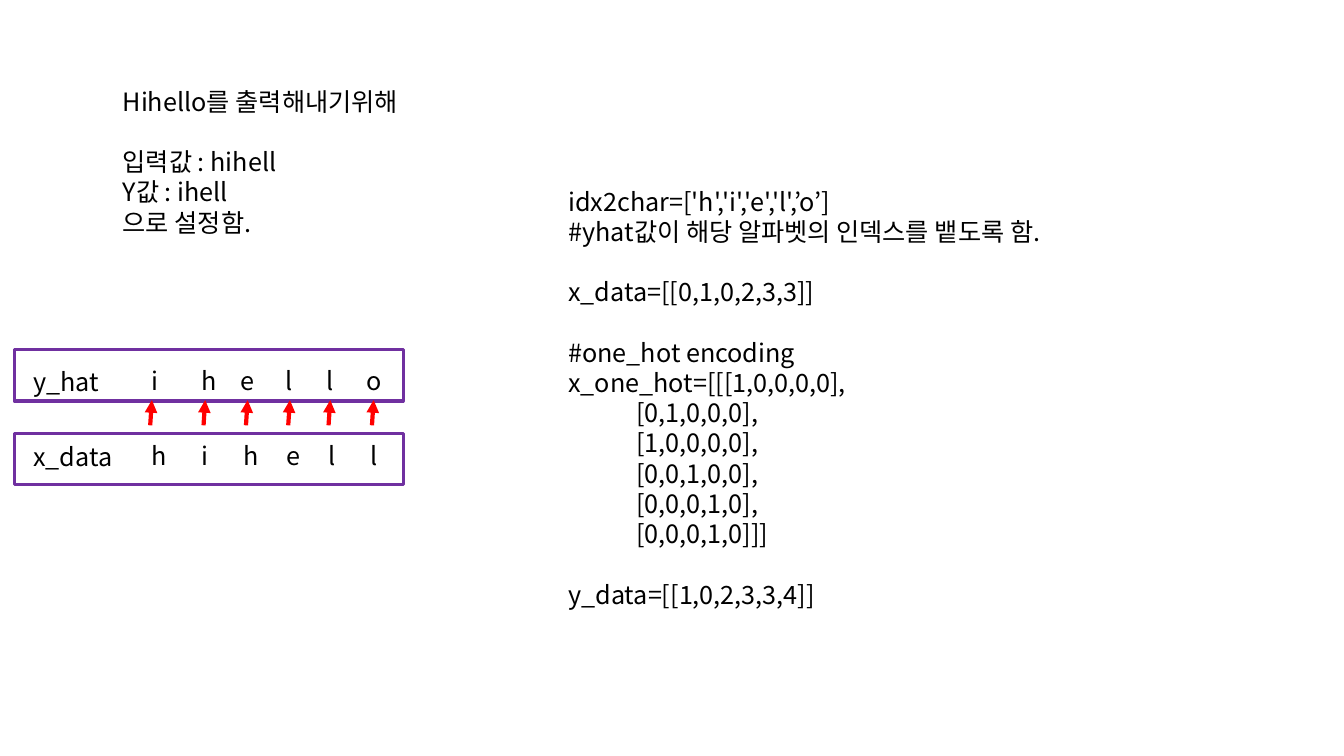
from lxml import etree
from pptx import Presentation
from pptx.dml.color import RGBColor
from pptx.enum.shapes import MSO_CONNECTOR, MSO_SHAPE
from pptx.oxml.ns import qn
from pptx.util import Pt

STRAIGHT = MSO_CONNECTOR.STRAIGHT
RECTANGLE = MSO_SHAPE.RECTANGLE
BLACK = RGBColor(0x00, 0x00, 0x00)
RED = RGBColor(0xFF, 0x00, 0x00)
PURPLE = RGBColor(0x70, 0x30, 0xA0)
FONT = "Noto Sans CJK KR"
FONT_SIZE = 18
LINE_HEIGHT = 21.6
CODE_INDENT = 48.6

GOAL_GROUPS = [
    ["Hihello를 출력해내기위해"],
    ["입력값 : hihell", "Y값 : ihell", "으로 설정함."],
]
CODE_GROUPS = [
    ["idx2char=['h','i','e','l',’o’]", "#yhat값이 해당 알파벳의 인덱스를 뱉도록 함."],
    ["x_data=[[0,1,0,2,3,3]]"],
    ["#one_hot encoding", "x_one_hot=[[[1,0,0,0,0],", "[0,1,0,0,0],", "[1,0,0,0,0],",
     "[0,0,1,0,0],", "[0,0,0,1,0],", "[0,0,0,1,0]]]"],
    ["y_data=[[1,0,2,3,3,4]]"],
]

# Column offsets from the left edge of the diagram
Y_HAT_COLUMNS = [91.4, 126.7, 154.8, 186.5, 216, 244.8]
X_DATA_COLUMNS = [91.4, 126.7, 157, 187.2, 217.4, 247.7]
ARROW_COLUMNS = [97.2, 135.3, 165.6, 195.8, 224.6, 255.6]


def add_text(slide, left, top, width, height, groups, wrap=True):
    """Groups of lines, with one line of space between groups."""
    box = slide.shapes.add_textbox(Pt(left), Pt(top), Pt(width), Pt(height))
    frame = box.text_frame
    frame.word_wrap = wrap
    paragraph = None
    for group in groups:
        for index, line in enumerate(group):
            is_first = paragraph is None
            paragraph = frame.paragraphs[0] if is_first else frame.add_paragraph()
            paragraph.line_spacing = Pt(LINE_HEIGHT)
            if index == 0 and not is_first:
                paragraph.space_before = Pt(LINE_HEIGHT)
            if line.startswith("["):
                properties = paragraph._p.get_or_add_pPr()
                properties.set("marL", str(int(Pt(CODE_INDENT))))
                properties.set("indent", "0")
            run = paragraph.add_run()
            run.text = line
            run.font.name = FONT
            run.font.size = Pt(FONT_SIZE)
            run.font.color.rgb = BLACK
            east_asian = etree.SubElement(run._r.get_or_add_rPr(), qn("a:ea"))
            east_asian.set("typeface", FONT)


def add_arrow(slide, start_x, start_y, end_x, end_y):
    arrow = slide.shapes.add_connector(
        STRAIGHT, Pt(start_x), Pt(start_y), Pt(end_x), Pt(end_y))
    arrow.line.color.rgb = RED
    arrow.line.width = Pt(3)
    etree.SubElement(arrow.line._get_or_add_ln(), qn("a:tailEnd")).set("type", "triangle")
    etree.SubElement(arrow._element.spPr, qn("a:effectLst"))


def add_sequence(slide, left, top, width, height, label, letters, columns, text_offset):
    """A framed row: its label and one letter per column."""
    frame = slide.shapes.add_shape(RECTANGLE, Pt(left), Pt(top), Pt(width), Pt(height))
    frame.shadow.inherit = False
    frame.fill.background()
    frame.line.color.rgb = PURPLE
    frame.line.width = Pt(2.25)
    add_text(slide, left + 6.5, top + text_offset + 1, 73, 29, [[label]], wrap=False)
    for letter, column in zip(letters, columns):
        add_text(slide, left + column, top + text_offset, 30, 29, [[letter]], wrap=False)


def add_diagram(slide, left, top, width, height):
    row_height = 36.7
    bottom_row = top + height - row_height
    add_sequence(slide, left, top, width, row_height,
                 "y_hat", "ihello", Y_HAT_COLUMNS, 7.5)
    add_sequence(slide, left, bottom_row, width, row_height,
                 "x_data", "hihell", X_DATA_COLUMNS, 1.2)
    for column in ARROW_COLUMNS:
        x = left + column
        add_arrow(slide, x, bottom_row - 5.8, x + 1.2, top + 36)


presentation = Presentation()
presentation.slide_width = Pt(960)
presentation.slide_height = Pt(540)
slide = presentation.slides.add_slide(presentation.slide_layouts[6])

# Goal, character diagram and code
add_text(slide, 80.6, 57.9, 229.7, 116.6, GOAL_GROUPS)
add_diagram(slide, 10.1, 249.8, 277.9, 96.5)
add_text(slide, 398.9, 129.2, 559.4, 334, CODE_GROUPS)

presentation.save("out.pptx")
